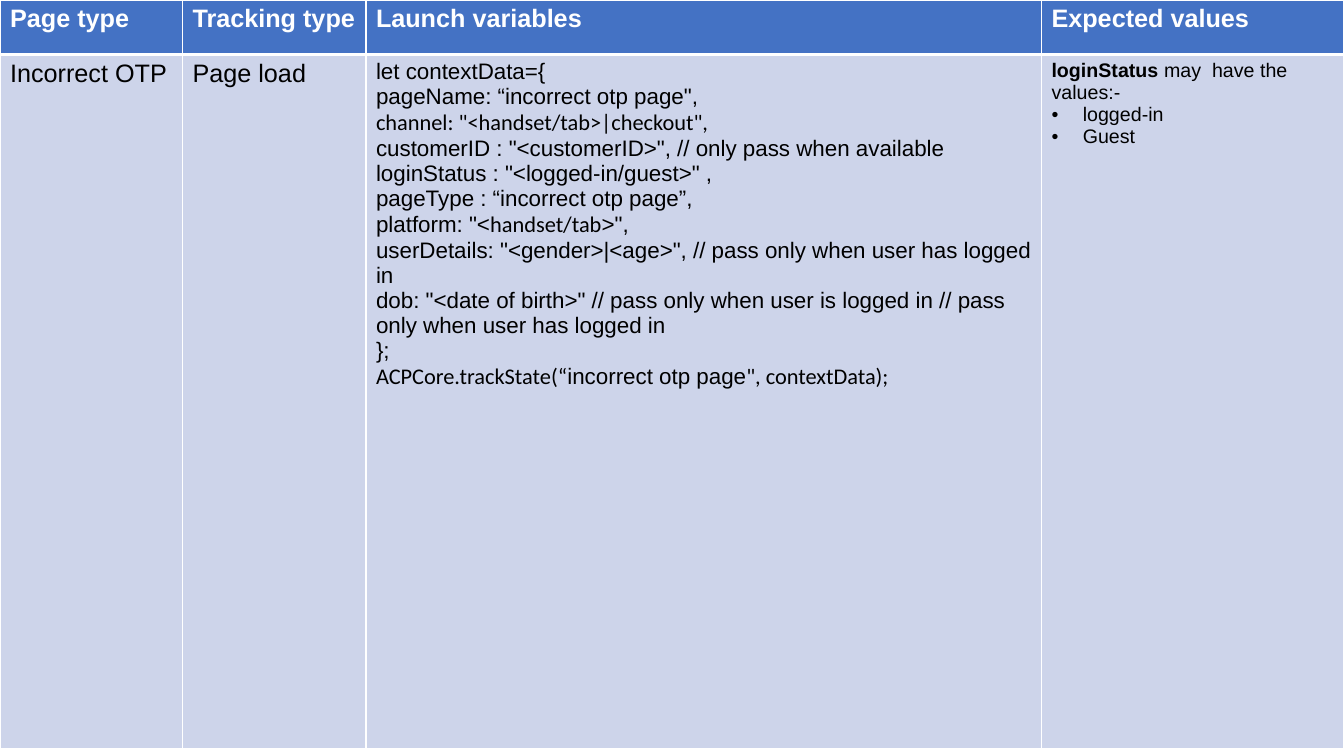
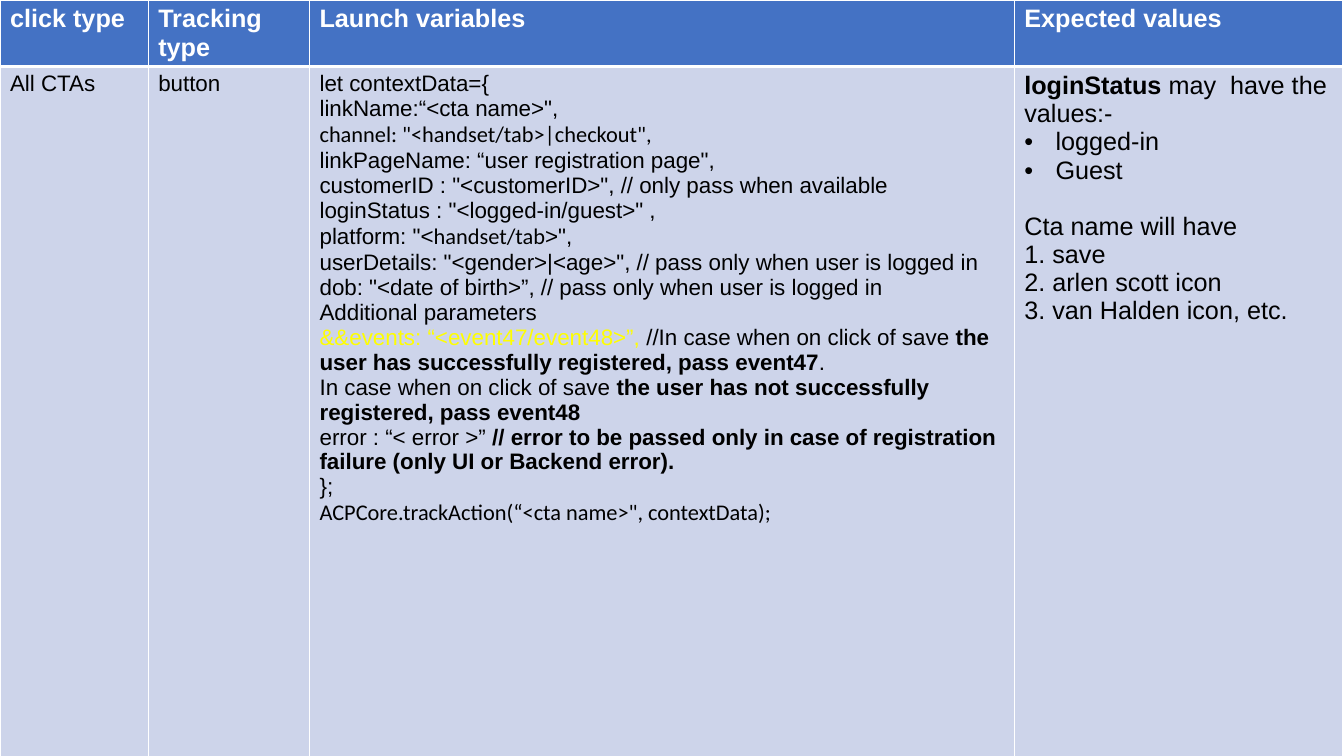
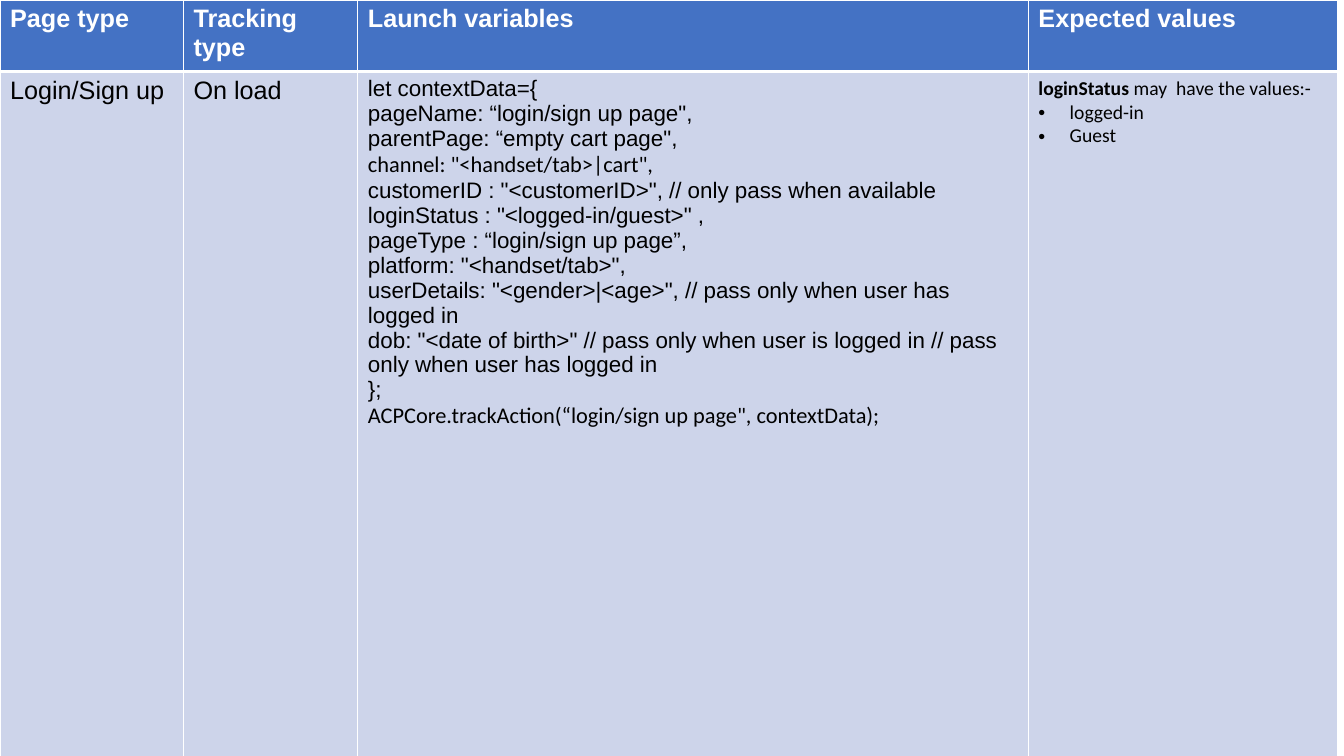
from lxml import etree
from pptx import Presentation
from pptx.dml.color import RGBColor
from pptx.oxml.ns import qn
from pptx.util import Inches, Pt

WHITE = RGBColor(0xFF, 0xFF, 0xFF)
BLACK = RGBColor(0x00, 0x00, 0x00)
YELLOW = RGBColor(0xFF, 0xFF, 0x00)
HEADER_BLUE = RGBColor(0x44, 0x72, 0xC4)
BODY_BLUE = RGBColor(0xCD, 0xD4, 0xEA)

# Run styles; a plain string takes the style of its cell.
BOLD = {"bold": True}
CALIBRI = {"font": "Calibri"}
EVENT = {"color": YELLOW}

# Paragraph kinds
BULLET, AFTER_GAP = "bullet", "after gap"

# Lines that the slides share. A line is a string or a list of runs.
START = "let contextData={"
END = "};"
CUSTOMER = 'customerID : "<customerID>", // only pass when available'
LOGIN = 'loginStatus : "<logged-in/guest>" ,'
PLATFORM = ['platform: "<', ("handset/tab", CALIBRI), '>",']
CHECKOUT = [('channel: "<handset/tab>|checkout",', CALIBRI)]
USER_LOGGED_IN = [
    'userDetails: "<gender>|<age>", // pass only when user has logged in',
    'dob: "<date of birth>" // pass only when user is logged in '
    "// pass only when user has logged in",
]
LOGIN_VALUES = [
    [("loginStatus ", BOLD), "may  have the values:-"],
    (BULLET, "logged-in"),
    (BULLET, "Guest"),
]

SLIDES = [
    {
        "columns": [1.81, 1.82, 6.7, 3],
        "rows": [0.54, 6.89],
        "first_header": "Page type",
        "sizes": [18, 18, 16, 14],
        "body": [
            ["Incorrect OTP"],
            ["Page load"],
            [
                START,
                'pageName: “incorrect otp page",',
                CHECKOUT,
                CUSTOMER,
                LOGIN,
                "pageType : “incorrect otp page”,",
                PLATFORM,
                *USER_LOGGED_IN,
                END,
                [("ACPCore.trackState(“", CALIBRI), "incorrect otp page",
                 ('", contextData);', CALIBRI)],
            ],
            LOGIN_VALUES,
        ],
    },
    {
        "columns": [1.47, 1.6, 6.99, 3.26],
        "rows": [0.54, 6.89],
        "first_header": "click type",
        "sizes": [16, 16, 16, 18],
        "body": [
            ["All CTAs"],
            ["button"],
            [
                START,
                'linkName:“<cta name>",',
                CHECKOUT,
                'linkPageName: “user registration page",',
                CUSTOMER,
                LOGIN,
                PLATFORM,
                'userDetails: "<gender>|<age>", // pass only when user is logged in',
                'dob: "<date of birth>”, // pass only when user is logged in',
                "Additional parameters",
                [("&&events: “<event47/event48>”, ", EVENT),
                 "//In case when on click of save ",
                 ("the user has successfully registered, pass event47", BOLD), "."],
                ["In case when on click of save ",
                 ("the user has not successfully registered, pass event48", BOLD)],
                ["error : “< error >” ",
                 ("// error to be passed only in case of registration failure "
                  "(only UI or Backend error).", BOLD)],
                END,
                [('ACPCore.trackAction(“<cta name>", contextData);', CALIBRI)],
            ],
            LOGIN_VALUES + [
                (AFTER_GAP, "Cta name will have"),
                "1. save",
                "2. arlen scott icon",
                "3. van Halden icon, etc.",
            ],
        ],
    },
    {
        "columns": [1.82, 1.73, 6.65, 3.07],
        "rows": [0.71, 7.01],
        "first_header": "Page type",
        "sizes": [18, 18, 16, 14],
        "last_font": "Calibri",
        "body": [
            ["Login/Sign up"],
            ["On load"],
            [
                START,
                'pageName: “login/sign up page",',
                'parentPage: “empty cart page",',
                [('channel: "<handset/tab>|cart",', CALIBRI)],
                CUSTOMER,
                LOGIN,
                "pageType : “login/sign up page”,",
                'platform: "<handset/tab>",',
                *USER_LOGGED_IN,
                END,
                [('ACPCore.trackAction(“login/sign up page", contextData);', CALIBRI)],
            ],
            LOGIN_VALUES,
        ],
    },
]


def set_bullet(p):
    pPr = p._p.get_or_add_pPr()
    pPr.set("marL", str(Inches(0.31)))
    pPr.set("indent", str(-Inches(0.31)))
    etree.SubElement(pPr, qn("a:buFont"), typeface="Arial")
    etree.SubElement(pPr, qn("a:buChar"), char="•")


def set_borders(cell, top, bottom):
    """White borders, 1 pt at the sides; top and bottom in points."""
    tcPr = cell._tc.get_or_add_tcPr()
    for side, width in (("L", 1), ("R", 1), ("T", top), ("B", bottom)):
        ln = etree.SubElement(tcPr, qn(f"a:ln{side}"), w=str(Pt(width)))
        fill = etree.SubElement(ln, qn("a:solidFill"))
        etree.SubElement(fill, qn("a:srgbClr"), val=str(WHITE))


def write_lines(cell, lines, base):
    """Write one paragraph per line; each run's style overrides base."""
    tf = cell.text_frame
    for i, line in enumerate(lines):
        p = tf.add_paragraph() if i else tf.paragraphs[0]
        if isinstance(line, tuple):
            kind, line = line
            if kind == BULLET:
                set_bullet(p)
            else:
                p.space_before = Pt(20)
        for run in [line] if isinstance(line, str) else line:
            text, style = (run, {}) if isinstance(run, str) else run
            look = {**base, **style}
            r = p.add_run()
            r.text = text
            r.font.name = look["font"]
            r.font.size = Pt(look["size"])
            r.font.bold = look["bold"]
            r.font.color.rgb = look["color"]


def fill_cell(cell, lines, base, color, top, bottom):
    set_borders(cell, top, bottom)
    cell.fill.solid()
    cell.fill.fore_color.rgb = color
    write_lines(cell, lines, base)


def add_tracking_slide(prs, content):
    s = prs.slides.add_slide(prs.slide_layouts[6])
    widths, heights = content["columns"], content["rows"]
    table = s.shapes.add_table(len(heights), len(widths), 0, 0,
                               Inches(sum(widths)), Inches(sum(heights))).table
    table.first_row = table.horz_banding = False
    for row, height in zip(table.rows, heights):
        row.height = Inches(height)
    headers = [content["first_header"], "Tracking type",
               "Launch variables", "Expected values"]
    fonts = ["Arial"] * 3 + [content.get("last_font", "Arial")]
    header_style = {"font": "Arial", "size": 18, "bold": True, "color": WHITE}
    for i, width in enumerate(widths):
        table.columns[i].width = Inches(width)
        fill_cell(table.cell(0, i), [headers[i]], header_style, HEADER_BLUE, 1, 3)
        body_style = {"font": fonts[i], "size": content["sizes"][i],
                      "bold": False, "color": BLACK}
        fill_cell(table.cell(1, i), content["body"][i], body_style, BODY_BLUE, 3, 1)


def main():
    prs = Presentation()
    prs.slide_width, prs.slide_height = Inches(13.33), Inches(7.5)
    for content in SLIDES:
        add_tracking_slide(prs, content)
    prs.save("out.pptx")


if __name__ == "__main__":
    main()
